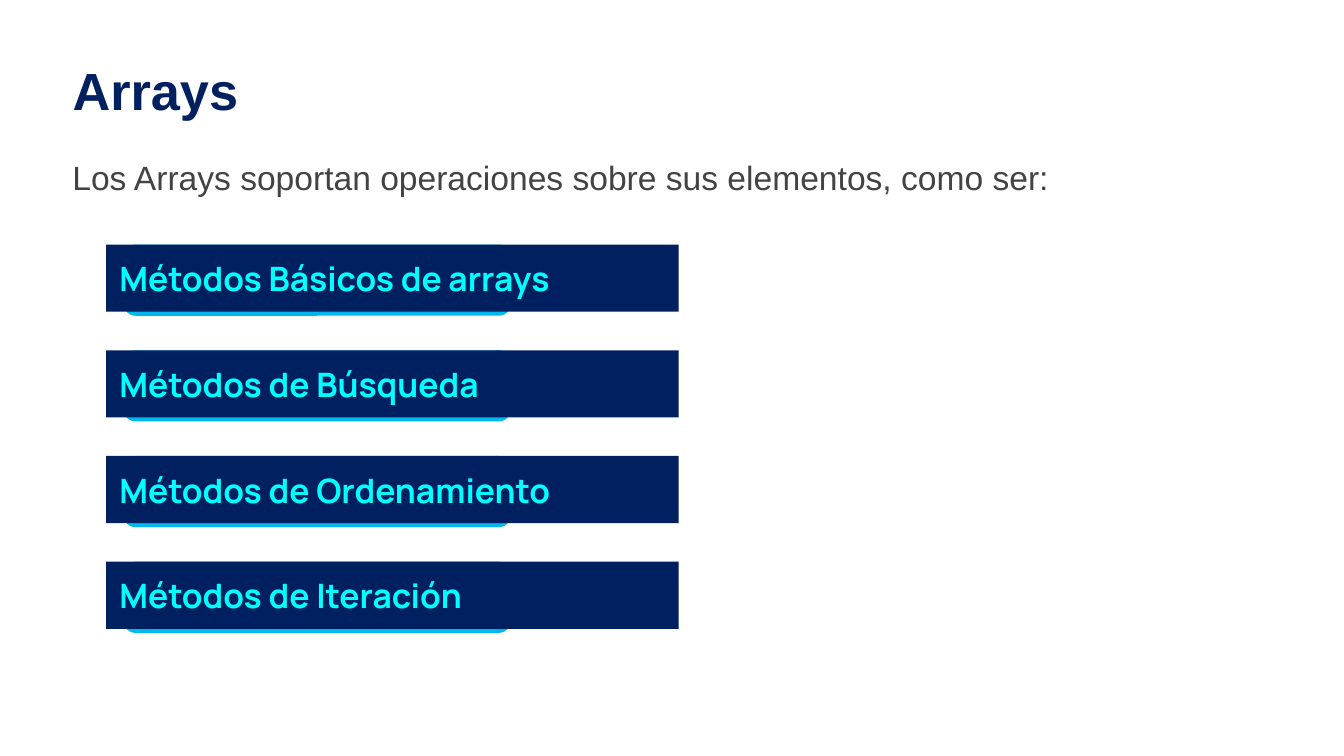
from pptx import Presentation
from pptx import util as u
from pptx.dml import color
from pptx.enum import shapes, text

NAVY = color.RGBColor(0x00, 0x20, 0x60)
SKY = color.RGBColor(0x00, 0xB8, 0xEC)
CYAN = color.RGBColor(0x00, 0xFF, 0xFF)
GRAY = color.RGBColor(0x43, 0x43, 0x43)

METHODS = [
    "Métodos Básicos de arrays",
    "Métodos de Búsqueda",
    "Métodos de Ordenamiento",
    "Métodos de Iteración",
]
FIRST_TOP, LAST_TOP = 1.82, 4.18
PITCH = (LAST_TOP - FIRST_TOP) / (len(METHODS) - 1)


def write(shape, content, font_name, size, font_color, bold=False, inset=0.1):
    frame = shape.text_frame
    frame.text = content
    frame.word_wrap = True
    frame.auto_size = text.MSO_AUTO_SIZE.SHAPE_TO_FIT_TEXT
    frame.vertical_anchor = text.MSO_ANCHOR.TOP
    frame.margin_left = frame.margin_right = u.Inches(0.1)
    frame.margin_top = frame.margin_bottom = u.Inches(inset)
    paragraph = frame.paragraphs[0]
    paragraph.alignment = text.PP_ALIGN.LEFT
    font = paragraph.runs[0].font
    font.name = font_name
    font.size = u.Pt(size)
    font.bold = bold
    font.color.rgb = font_color


def add_block(kind, left, top, width, height, fill_color):
    shape = slide.shapes.add_shape(
        kind, u.Inches(left), u.Inches(top), u.Inches(width), u.Inches(height)
    )
    shape.shadow.inherit = False
    shape.fill.solid()
    shape.fill.fore_color.rgb = fill_color
    shape.line.fill.background()
    return shape


presentation = Presentation()
presentation.slide_width = u.Inches(10)
presentation.slide_height = u.Inches(10 * 9 / 16)
slide = presentation.slides.add_slide(presentation.slide_layouts[5])

title = slide.shapes.title
title.left, title.top = u.Inches(0.44), u.Inches(0.38)
title.width, title.height = u.Inches(5.06), u.Inches(0.57)
write(title, "Arrays", "Arial", 28, NAVY, bold=True, inset=0.05)

intro = slide.shapes.add_textbox(
    u.Inches(0.44), u.Inches(1.07), u.Inches(9), u.Inches(0.5)
)
write(
    intro,
    "Los Arrays soportan operaciones sobre sus elementos, como ser:",
    "Arial",
    18,
    GRAY,
)

for index, method in enumerate(METHODS):
    top = FIRST_TOP + index * PITCH
    add_block(shapes.MSO_SHAPE.ROUNDED_RECTANGLE, 0.92, top, 2.88, 0.53, SKY)
    label = add_block(shapes.MSO_SHAPE.RECTANGLE, 0.79, top, 4.26, 0.5, NAVY)
    write(label, method, "Manrope", 18, CYAN, bold=True)

presentation.save("out.pptx")
